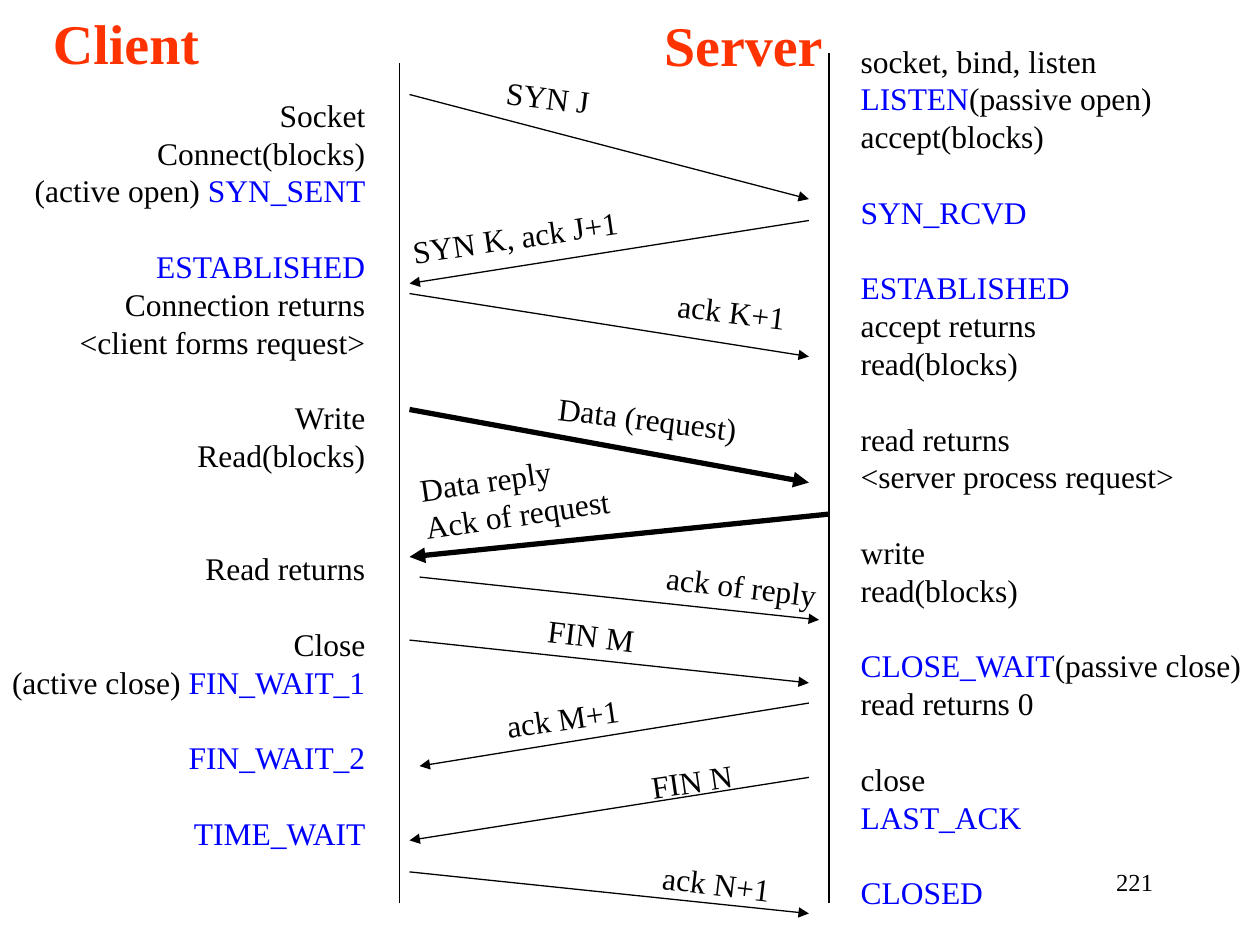
from lxml import etree
from pptx import Presentation
from pptx.dml.color import RGBColor
from pptx.enum.shapes import MSO_CONNECTOR
from pptx.enum.text import MSO_ANCHOR, MSO_AUTO_SIZE, PP_ALIGN
from pptx.oxml.ns import qn
from pptx.util import Inches, Pt

STRAIGHT = MSO_CONNECTOR.STRAIGHT
TOP = MSO_ANCHOR.TOP
FIXED = MSO_AUTO_SIZE.NONE
LEFT, RIGHT = PP_ALIGN.LEFT, PP_ALIGN.RIGHT
COMPARISON_LAYOUT = 4
FONT = "Times New Roman"
BLACK, BLUE, RED = "000000", "0000FF", "FF3300"
BODY_SIZE, HEADING_SIZE, NUMBER_SIZE = 18, 32, 14
LINE_RATIO = 1.2
INSET = 0.1
THIN, THICK = 0.75, 3
DOWN_TILT, UP_TILT = 6.8, -8.3

CLIENT_STEPS = [
    (0, "Socket", "", ""),
    (0, "Connect(blocks)", "", ""),
    (0, "(active open) ", "SYN_SENT", ""),
    (1, "", "ESTABLISHED", ""),
    (0, "Connection returns", "", ""),
    (0, "<client forms request>", "", ""),
    (1, "Write", "", ""),
    (0, "Read(blocks)", "", ""),
    (2, "Read returns", "", ""),
    (1, "Close", "", ""),
    (0, "(active close) ", "FIN_WAIT_1", ""),
    (1, "", "FIN_WAIT_2", ""),
    (1, "", "TIME_WAIT", ""),
]
SERVER_STEPS = [
    (0, "socket, bind, listen", "", ""),
    (0, "", "LISTEN", "(passive open)"),
    (0, "accept(blocks)", "", ""),
    (1, "", "SYN_RCVD", ""),
    (1, "", "ESTABLISHED", ""),
    (0, "accept returns", "", ""),
    (0, "read(blocks)", "", ""),
    (1, "read returns", "", ""),
    (0, "<server process request>", "", ""),
    (1, "write", "", ""),
    (0, "read(blocks)", "", ""),
    (1, "", "CLOSE_WAIT", "(passive close)"),
    (0, "read returns 0", "", ""),
    (1, "close", "", ""),
    (0, "", "LAST_ACK", ""),
    (1, "", "CLOSED", ""),
]
LIFELINES = [(3.17, 0.5, 3.17, 7.17), (6.58, 0.42, 6.58, 7.17)]
MESSAGES = [
    (["SYN J"], (3.25, 0.75, 6.42, 1.58), THIN, (3.92, 0.57, 0.86, 0.4), DOWN_TILT),
    (["SYN K, ack J+1"], (6.42, 1.75, 3.25, 2.25), THIN, (3.17, 1.68, 1.84, 0.4), UP_TILT),
    (["ack K+1"], (3.25, 2.33, 6.42, 2.83), THIN, (5.28, 2.27, 1.05, 0.4), DOWN_TILT),
    (["Data (request)"], (3.25, 3.25, 6.42, 3.83), THICK, (4.33, 3.12, 1.62, 0.4), DOWN_TILT),
    (["Data reply", "Ack of request"], (6.58, 4.08, 3.25, 4.42), THICK,
     (3.25, 3.58, 1.67, 0.7), UP_TILT),
    (["ack of reply"], (3.33, 4.58, 6.5, 4.92), THIN, (5.19, 4.45, 1.39, 0.4), DOWN_TILT),
    (["FIN M"], (3.25, 5.08, 6.42, 5.42), THIN, (4.25, 4.84, 0.89, 0.4), DOWN_TILT),
    (["ack M+1"], (6.42, 5.58, 3.33, 6.08), THIN, (3.92, 5.5, 1.1, 0.4), UP_TILT),
    (["FIN N"], (6.42, 6.17, 3.25, 6.67), THIN, (5.07, 6, 0.84, 0.4), UP_TILT),
    (["ack N+1"], (3.25, 6.92, 6.42, 7.25), THIN, (5.16, 6.81, 1.05, 0.4), DOWN_TILT),
]


def rgb(hex_code):
    """Turn a hex string into a colour."""
    return RGBColor.from_string(hex_code)


def plain_lines(texts, color=BLACK):
    """Give each text its own line with no gap above."""
    return [(0, [(text, color)]) for text in texts]


def step_lines(steps):
    """Turn steps of gap, text, state and text into lines with blue states."""
    return [(gap, [(before, BLACK), (state, BLUE), (after, BLACK)])
            for gap, before, state, after in steps]


def write_lines(holder, lines, size=BODY_SIZE, bold=False, align=LEFT):
    """Fill a holder with unbulleted coloured runs, inset only on the aligned side."""
    frame = holder.text_frame
    frame.word_wrap = True
    frame.auto_size = FIXED
    frame.vertical_anchor = TOP
    frame.margin_left = Inches(INSET if align == LEFT else 0)
    frame.margin_right = Inches(INSET if align == RIGHT else 0)
    line_height = size * LINE_RATIO
    for index, (gap, runs) in enumerate(lines):
        paragraph = frame.add_paragraph() if index else frame.paragraphs[0]
        properties = paragraph._p.get_or_add_pPr()
        properties.set("marL", "0")
        properties.set("indent", "0")
        etree.SubElement(properties, qn("a:buNone"))
        paragraph.alignment = align
        paragraph.line_spacing = Pt(line_height)
        paragraph.space_before = Pt(gap * line_height)
        paragraph.space_after = Pt(0)
        for text, color in runs:
            if text:
                run = paragraph.add_run()
                run.text = text
                run.font.name = FONT
                run.font.size = Pt(size)
                run.font.bold = bold
                run.font.color.rgb = rgb(color)


def place(holder, box):
    """Move and size a placeholder."""
    holder.left, holder.top, holder.width, holder.height = map(Inches, box)


def add_line(slide, ends, width=THIN, arrow=False):
    """Draw a straight black line, with an arrowhead at its end if asked."""
    line = slide.shapes.add_connector(STRAIGHT, *map(Inches, ends))
    line.line.width = Pt(width)
    line.line.color.rgb = rgb(BLACK)
    if arrow:
        etree.SubElement(line.line._get_or_add_ln(), qn("a:tailEnd"), type="triangle")
    etree.SubElement(line._element.spPr, qn("a:effectLst"))


def add_label(slide, texts, box, tilt=0, **style):
    """Add a text box, turned by the tilt in degrees."""
    label = slide.shapes.add_textbox(*map(Inches, box))
    label.rotation = tilt
    write_lines(label, plain_lines(texts), **style)


def add_side(slide, first_index, heading, heading_box, steps, steps_box, align):
    """Fill the heading and step list of one side of the exchange."""
    title = slide.placeholders[first_index]
    place(title, heading_box)
    write_lines(title, plain_lines([heading], RED), size=HEADING_SIZE, bold=True)
    step_list = slide.placeholders[first_index + 1]
    place(step_list, steps_box)
    write_lines(step_list, step_lines(steps), align=align)


def main():
    """Build the client and server message exchange slide."""
    deck = Presentation()
    deck.slide_width, deck.slide_height = Inches(10), Inches(7.5)
    slide = deck.slides.add_slide(deck.slide_layouts[COMPARISON_LAYOUT])
    unused_title = slide.shapes.title._element
    unused_title.getparent().remove(unused_title)

    add_side(slide, 1, "Client", (0.32, 0.02, 1.36, 0.64),
             CLIENT_STEPS, (-0.03, 0.71, 3.03, 6.4), RIGHT)
    add_side(slide, 3, "Server", (5.17, 0.03, 1.46, 0.64),
             SERVER_STEPS, (6.73, 0.28, 3.25, 7), LEFT)
    for ends in LIFELINES:
        add_line(slide, ends)
    for texts, ends, width, box, tilt in MESSAGES:
        add_line(slide, ends, width, arrow=True)
        add_label(slide, texts, box, tilt)
    add_label(slide, ["221"], (7.17, 6.83, 2.08, 0.5), size=NUMBER_SIZE, align=RIGHT)
    deck.save("out.pptx")


if __name__ == "__main__":
    main()
